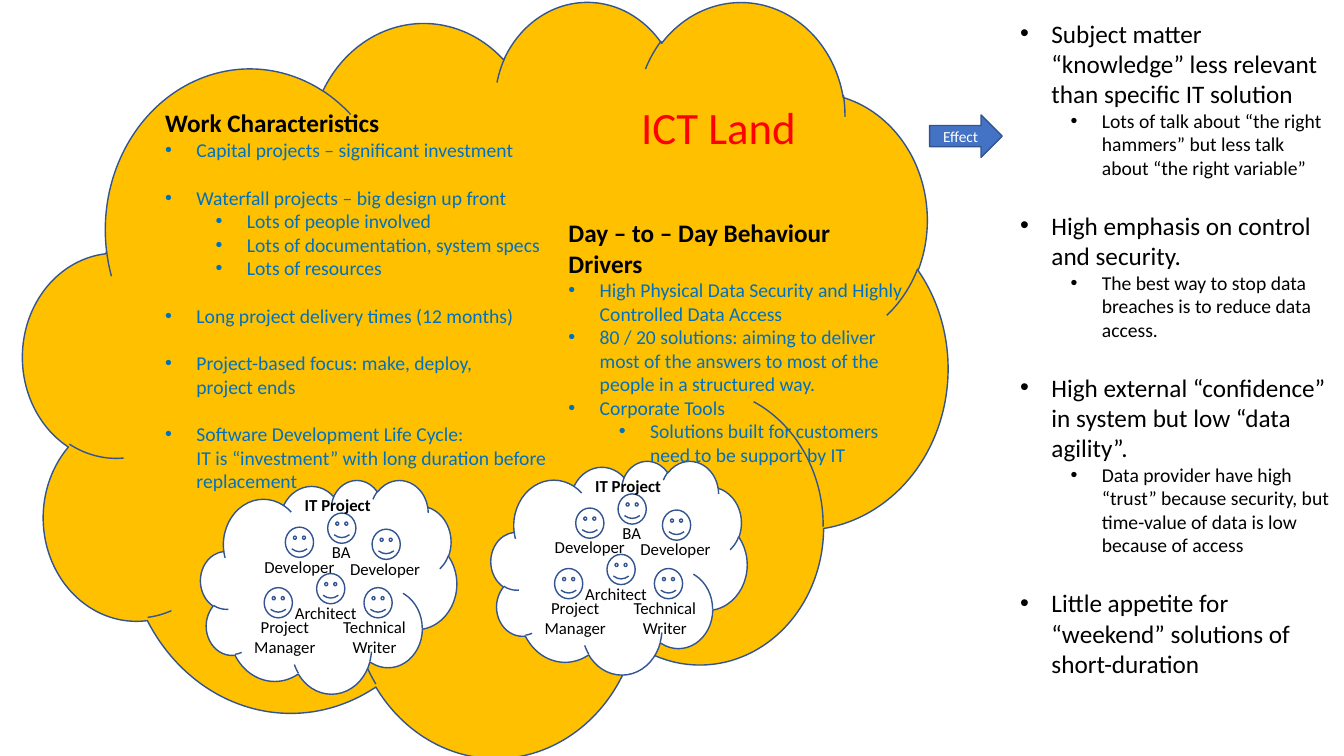
from lxml import etree
from pptx import Presentation
from pptx.dml.color import RGBColor
from pptx.enum.shapes import MSO_SHAPE
from pptx.enum.text import MSO_ANCHOR, PP_ALIGN
from pptx.oxml.ns import qn
from pptx.util import Inches, Pt

FONT = "Calibri"
BLACK, WHITE, RED, BLUE = "000000", "FFFFFF", "FF0000", "0070C0"
GOLD, ARROW_BLUE, OUTLINE = "FFC000", "4472C4", "325491"
LINE_HEIGHT = 1.22  # share of the text size
INDENTS = [None, 0.31, 0.81]  # heading, bullet, inner bullet
HANGING = 0.31

# Each line: level, text, size of the blank line above it
WORK = [
    (0, "Work Characteristics", 0),
    (1, "Capital projects – significant investment", 0),
    (1, "Waterfall projects – big design up front", 14),
    (2, "Lots of people involved", 0),
    (2, "Lots of documentation, system specs", 0),
    (2, "Lots of resources", 0),
    (1, "Long project delivery times (12 months)", 14),
    (1, "Project-based focus: make, deploy, \nproject ends", 14),
    (1, "Software Development Life Cycle: \n"
        "IT is “investment” with long duration before replacement", 14),
]
DRIVERS = [
    (0, "Day – to – Day Behaviour Drivers", 0),
    (1, "High Physical Data Security and Highly Controlled Data Access", 0),
    (1, "80 / 20 solutions: aiming to deliver most of the answers to most "
        "of the people in a structured way.", 0),
    (1, "Corporate Tools", 0),
    (2, "Solutions built for customers need to be support by IT", 0),
]
EFFECTS = [
    (1, "Subject matter “knowledge” less relevant than specific IT solution", 0),
    (2, "Lots of talk about “the right hammers” but less talk about "
        "“the right variable”", 0),
    (1, "High emphasis on control and security.", 18),
    (2, "The best way to stop data breaches is to reduce data access.", 0),
    (1, "High external “confidence” in system but low “data agility”.", 18),
    (2, "Data provider have high “trust” because security, but time-value "
        "of data is low because of access", 0),
    (1, "Little appetite for “weekend” solutions of short-duration", 18),
]
# Style per level: size, colour, bold
LAND_STYLES = [(18, BLACK, True), (14, BLUE, False), (14, BLUE, False)]
EFFECT_STYLES = [None, (18, BLACK, False), (14, BLACK, False)]
BULLET_BOXES = [
    (WORK, LAND_STYLES, (1.54, 1.02, 4.39, 4.64)),
    (DRIVERS, LAND_STYLES, (5.54, 2.11, 3.54, 3.77)),
    (EFFECTS, EFFECT_STYLES, (10.02, 0.13, 3.31, 6.7)),
]

# Role, face left and top within the project cloud, label left and width
TEAM = [
    ("BA", 1.26, 0.33, 1.2, 0.39),
    ("Project\nManager", 0.63, 1.07, 0.43, 0.81),
    ("Developer", 0.84, 0.47, 0.53, 0.9),
    ("Architect", 1.15, 0.93, 0.83, 0.82),
    ("Developer", 1.7, 0.49, 1.38, 0.9),
    ("Technical\nWriter", 1.62, 1.07, 1.31, 0.83),
]
PROJECT_CLOUDS = [(1.99, 4.76), (4.87, 4.57)]
CLOUD_SIZE = (2.54, 2.12)
FACE_SIZE = (0.28, 0.3)
LABEL_DROP = 0.24


def rgb(value):
    return RGBColor.from_string(value)


def add_outlined(shapes, kind, box, fill=None):
    shape = shapes.add_shape(kind, *map(Inches, box))
    shape.shadow.inherit = False
    if fill:
        shape.fill.solid()
        shape.fill.fore_color.rgb = rgb(fill)
    else:
        shape.fill.background()
    shape.line.color.rgb = rgb(OUTLINE)
    shape.line.width = Pt(1)
    return shape


def write(paragraph, text, size, color, bold=False):
    """Add text to a paragraph, with a line break at each newline."""
    for number, line in enumerate(text.split("\n")):
        if number:
            paragraph.add_line_break()
        run = paragraph.add_run()
        run.text = line
        run.font.name = FONT
        run.font.size = Pt(size)
        run.font.bold = bold
        run.font.color.rgb = rgb(color)


def add_text(shapes, box, wrap=True):
    frame = shapes.add_textbox(*map(Inches, box)).text_frame
    frame.word_wrap = wrap
    return frame


def add_label(shapes, left, top, width, text, bold=False):
    lines = text.split("\n")
    frame = add_text(shapes, (left, top, width, 0.1 + 0.2 * len(lines)), bold)
    for number, line in enumerate(lines):
        paragraph = frame.add_paragraph() if number else frame.paragraphs[0]
        paragraph.alignment = PP_ALIGN.CENTER
        write(paragraph, line, 12, BLACK, bold)


def set_bullet(paragraph, level):
    paragraph.level = level - 1
    properties = paragraph._p.get_or_add_pPr()
    properties.set("marL", str(Inches(INDENTS[level])))
    properties.set("indent", str(-Inches(HANGING)))
    etree.SubElement(properties, qn("a:buFont")).set("typeface", "Arial")
    etree.SubElement(properties, qn("a:buChar")).set("char", "•")


def add_bullets(shapes, lines, styles, box):
    frame = add_text(shapes, box)
    for number, (level, text, gap) in enumerate(lines):
        paragraph = frame.add_paragraph() if number else frame.paragraphs[0]
        if gap:
            paragraph.space_before = Pt(round(gap * LINE_HEIGHT, 1))
        if level:
            set_bullet(paragraph, level)
        write(paragraph, text, *styles[level])


def add_project(slide, left, top):
    shapes = slide.shapes.add_group_shape().shapes
    add_outlined(shapes, MSO_SHAPE.CLOUD, (left, top, *CLOUD_SIZE), WHITE)
    for role, face_x, face_y, label_x, label_width in TEAM:
        face_top = top + face_y
        add_outlined(shapes, MSO_SHAPE.SMILEY_FACE,
                     (left + face_x, face_top, *FACE_SIZE))
        add_label(shapes, left + label_x, face_top + LABEL_DROP, label_width, role)
    add_label(shapes, left + 0.81, top + 0.1, 1.1, "IT Project", bold=True)


def main():
    deck = Presentation()
    deck.slide_width, deck.slide_height = Inches(13.33), Inches(7.5)
    slide = deck.slides.add_slide(deck.slide_layouts[6])
    shapes = slide.shapes

    add_outlined(shapes, MSO_SHAPE.CLOUD, (0.23, 0, 9.17, 7.5), GOLD)
    title = add_text(shapes, (6.26, 0.94, 1.76, 0.64), wrap=False)
    write(title.paragraphs[0], "ICT Land", 32, RED)

    for left, top in PROJECT_CLOUDS:
        add_project(slide, left, top)
    for lines, styles, box in BULLET_BOXES:
        add_bullets(shapes, lines, styles, box)

    arrow = add_outlined(shapes, MSO_SHAPE.RIGHT_ARROW,
                         (9.22, 1.14, 0.72, 0.42), ARROW_BLUE)
    effect = arrow.text_frame
    effect.vertical_anchor = MSO_ANCHOR.MIDDLE
    effect.paragraphs[0].alignment = PP_ALIGN.CENTER
    write(effect.paragraphs[0], "Effect", 11, WHITE)
    effect.word_wrap = False

    deck.save("out.pptx")


if __name__ == "__main__":
    main()
